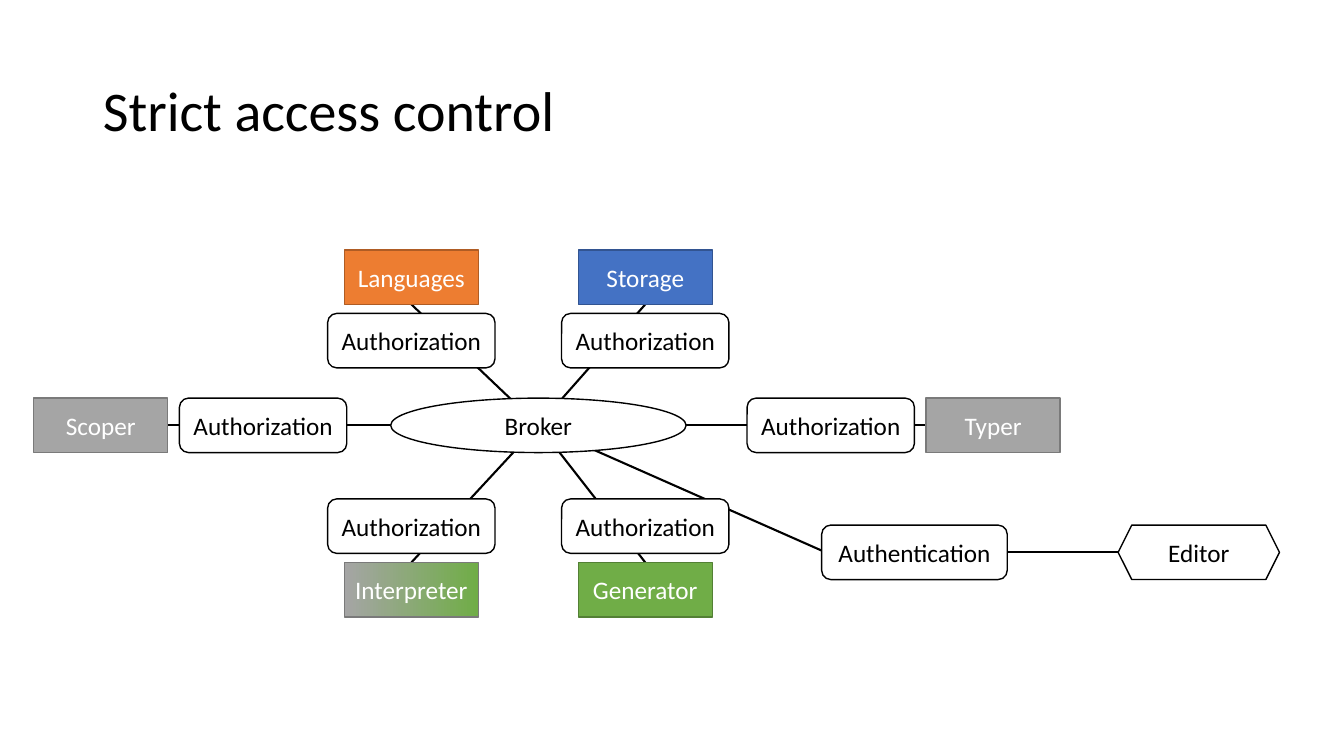
import pptx
import pptx.util
import pptx.dml.color
import pptx.enum.shapes
import pptx.enum.text
import lxml.etree

Inches = pptx.util.Inches
Pt = pptx.util.Pt
SHAPE = pptx.enum.shapes.MSO_SHAPE
ALIGN = pptx.enum.text.PP_ALIGN
MIDDLE = pptx.enum.text.MSO_ANCHOR.MIDDLE
FONT = "Calibri"
HIGH = 0.54
HEX = {
    "black": "000000", "white": "FFFFFF",
    "blue": "4472C4", "navy": "325491",
    "orange": "ED7D31", "rust": "AF5C24",
    "gray": "A5A5A5", "slate": "7A7A7A",
    "green": "70AD47", "moss": "538035",
}
# name, centre x, centre y, gate offset x, gate offset y, fills, edge
SPOKES = [
    ("Storage", 6.23, 0.27, 0, 0.63, ["blue"], "navy"),
    ("Languages", 3.91, 0.27, 0, 0.63, ["orange"], "rust"),
    ("Typer", 9.68, 1.74, -1.61, 0, ["gray"], "slate"),
    ("Generator", 6.23, 3.37, 0, -0.63, ["green"], "moss"),
    ("Scoper", 0.83, 1.74, 1.61, 0, ["gray"], "slate"),
    ("Interpreter", 3.91, 3.37, 0, -0.63, ["gray", "green"], "slate"),
]


def color(name):
    """Return the named colour."""
    return pptx.dml.color.RGBColor.from_string(HEX[name])


def style(par, size, ink, align):
    """Format one paragraph."""
    par.alignment = align
    par.font.name = FONT
    par.font.size = Pt(size)
    par.font.color.rgb = color(ink)


def node(slide, kind, text, x, y, wide, fills=("white",), edge="black", ink="black"):
    """Draw a labelled shape centred on x, y."""
    shape = slide.shapes.add_shape(
        kind, Inches(x - wide / 2), Inches(y - HIGH / 2), Inches(wide), Inches(HIGH))
    shape.shadow.inherit = False
    if len(fills) > 1:
        shape.fill.gradient()
        shape.fill.gradient_angle = 0
        for stop, name in zip(shape.fill.gradient_stops, fills):
            stop.color.rgb = color(name)
    else:
        shape.fill.solid()
        shape.fill.fore_color.rgb = color(fills[0])
    shape.line.color.rgb = color(edge)
    shape.line.width = Pt(1)
    frame = shape.text_frame
    frame.word_wrap = True
    frame.vertical_anchor = MIDDLE
    frame.margin_left = frame.margin_right = Inches(0.05)
    frame.text = text
    style(frame.paragraphs[0], 18, ink, ALIGN.CENTER)


def link(slide, start, end):
    """Draw a straight line between two points."""
    line = slide.shapes.add_connector(
        pptx.enum.shapes.MSO_CONNECTOR.STRAIGHT, *map(Inches, start + end))
    line.line.color.rgb = color("black")
    line.line.width = Pt(1.5)
    lxml.etree.SubElement(
        line._element.spPr, pptx.oxml.ns.qn("a:effectLst"))


def title(slide, text, left, top, wide, high):
    """Place the slide title."""
    head = slide.shapes.title
    head.left, head.top, head.width, head.height = map(
        Inches, (left, top, wide, high))
    frame = head.text_frame
    frame.text = text
    frame.vertical_anchor = MIDDLE
    style(frame.paragraphs[0], 40, "black", ALIGN.LEFT)
    frame.paragraphs[0].line_spacing = 0.9


def hub(slide, left, top):
    """Draw the broker, its guarded modules and the editor."""
    wide = 1.33
    mid = (left + 5.17, top + 1.74)
    login = (left + 8.9, top + 3)
    editor = (left + 11.72, top + 3)
    spokes = [(name, left + x, top + y, *rest) for name, x, y, *rest in SPOKES]
    link(slide, (login[0] - 0.88, login[1]), mid)
    link(slide, login, editor)
    for name, x, y, dx, dy, fills, edge in spokes:
        reach = ((dx > 0) - (dx < 0)) * wide / 2
        drop = ((dy > 0) - (dy < 0)) * HIGH / 2
        link(slide, (x + reach, y + drop), mid)
        node(slide, SHAPE.RECTANGLE, name, x, y, wide, fills, edge, "white")
    node(slide, SHAPE.OVAL, "Broker", *mid, 2.93)
    node(slide, SHAPE.HEXAGON, "Editor", *editor, 1.6)
    node(slide, SHAPE.ROUNDED_RECTANGLE, "Authentication", *login, 1.84)
    for name, x, y, dx, dy, *rest in spokes:
        node(slide, SHAPE.ROUNDED_RECTANGLE, "Authorization", x + dx, y + dy, 1.66)


deck = pptx.Presentation()
deck.slide_width = Inches(13.33)
deck.slide_height = Inches(7.5)
page = deck.slides.add_slide(deck.slide_layouts[5])
title(page, "Strict access control", 0.92, 0.4, 11.5, 1.45)
hub(page, 0.17, 2.48)
deck.save("out.pptx")
